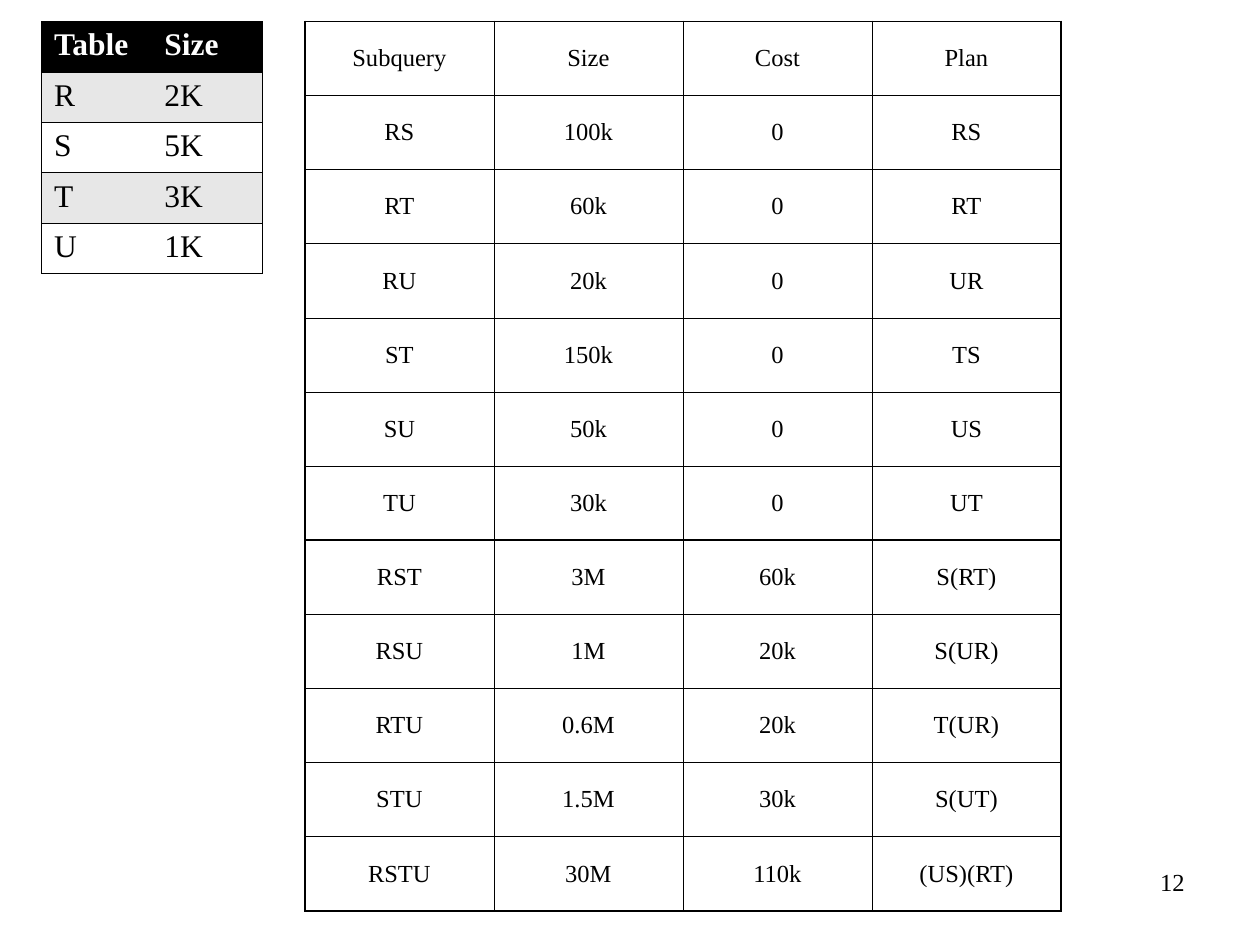
import pptx
import pptx.dml.color
import pptx.enum.text
import pptx.oxml
import pptx.oxml.ns
import pptx.util

Inches = pptx.util.Inches
Pt = pptx.util.Pt
Color = pptx.dml.color.RGBColor
Align = pptx.enum.text.PP_ALIGN
Anchor = pptx.enum.text.MSO_ANCHOR

BLACK = Color(0x00, 0x00, 0x00)
WHITE = Color(0xFF, 0xFF, 0xFF)
GREY = Color(0xE7, 0xE7, 0xE7)
FONT = "Times New Roman"
THIN, THICK = 0.45, 1.08

deck = pptx.Presentation()
deck.slide_width = Inches(10)
deck.slide_height = Inches(7.5)
slide = deck.slides.add_slide(deck.slide_layouts[6])


def write(frame, text, size, color=BLACK, bold=False, align=Align.LEFT):
    frame.text = text
    line = frame.paragraphs[0]
    line.alignment = align
    font = line.runs[0].font
    font.name, font.size, font.bold = FONT, Pt(size), bold
    font.color.rgb = color


def border(cell, left, right, top, bottom):
    # Sides are set in schema order, before any fill; width 0 hides a side
    props = cell._tc.get_or_add_tcPr()
    for side, width in zip("LRTB", (left, right, top, bottom)):
        paint = f'<a:solidFill><a:srgbClr val="{BLACK}"/></a:solidFill>' if width else "<a:noFill/>"
        props.append(pptx.oxml.parse_xml(
            f'<a:ln{side} {pptx.oxml.ns.nsdecls("a")} w="{Pt(width)}">{paint}</a:ln{side}>'))


# Page number
box = slide.shapes.add_textbox(Inches(7.42), Inches(6.83), Inches(2.08), Inches(0.5))
box.text_frame.word_wrap = True
write(box.text_frame, "12", 14, align=Align.RIGHT)

# Subquery plans: one row per set of joined tables
plans = [
    ("Subquery", "Size", "Cost", "Plan"),
    ("RS", "100k", "0", "RS"),
    ("RT", "60k", "0", "RT"),
    ("RU", "20k", "0", "UR"),
    ("ST", "150k", "0", "TS"),
    ("SU", "50k", "0", "US"),
    ("TU", "30k", "0", "UT"),
    ("RST", "3M", "60k", "S(RT)"),
    ("RSU", "1M", "20k", "S(UR)"),
    ("RTU", "0.6M", "20k", "T(UR)"),
    ("STU", "1.5M", "30k", "S(UT)"),
    ("RSTU", "30M", "110k", "(US)(RT)"),
]
# Thick rules frame the grid and part the groups by number of joins
heavy = {0, 1, 7, 11, 12}
rules = [THICK if r in heavy else THIN for r in range(len(plans) + 1)]
posts = [THICK, THIN, THIN, THIN, THICK]
grid = slide.shapes.add_table(len(plans), 4, Inches(2.42), Inches(0.17),
                              Inches(6), Inches(7.06)).table
grid.first_row = grid.horz_banding = False
for r, row in enumerate(plans):
    for c, text in enumerate(row):
        cell = grid.cell(r, c)
        cell.vertical_anchor = Anchor.MIDDLE
        write(cell.text_frame, text, 14, align=Align.CENTER)
        border(cell, posts[c], posts[c + 1], rules[r], rules[r + 1])
        cell.fill.background()

# Table sizes: black header, then grey and white bands
sizes = [("Table", "Size"), ("R", "2K"), ("S", "5K"), ("T", "3K"), ("U", "1K")]
grid = slide.shapes.add_table(len(sizes), 2, Inches(0.33), Inches(0.17),
                              Inches(1.75), Inches(2)).table
grid.first_row = grid.horz_banding = False
posts = [THIN, 0, THIN]
for r, row in enumerate(sizes):
    head = r == 0
    for c, text in enumerate(row):
        cell = grid.cell(r, c)
        write(cell.text_frame, text, 18, WHITE if head else BLACK, head)
        border(cell, posts[c], posts[c + 1], THIN, THIN)
        cell.fill.solid()
        cell.fill.fore_color.rgb = BLACK if head else GREY if r % 2 else WHITE

deck.save("out.pptx")
